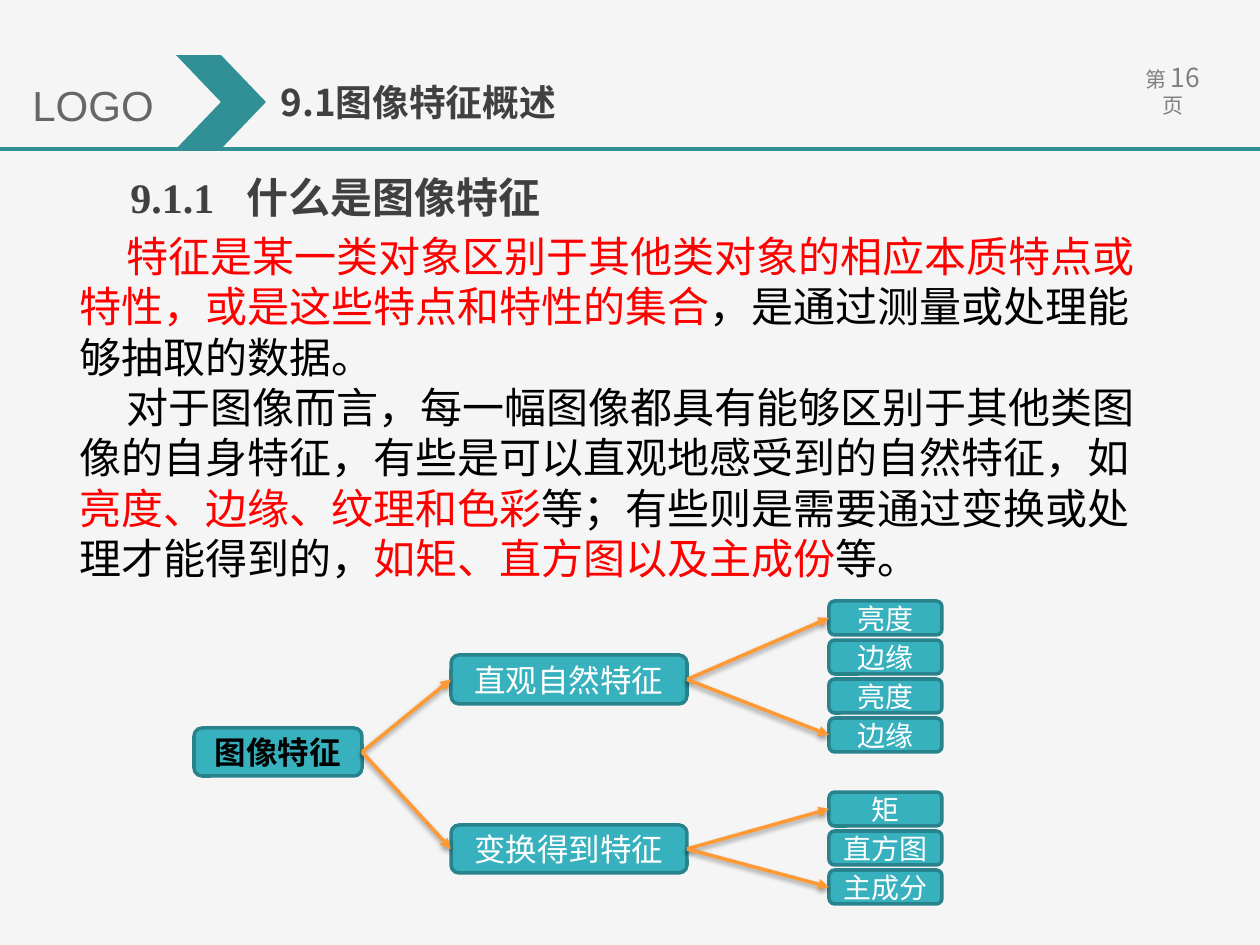
"""Build the slide that introduces image features and their feature tree."""
from dataclasses import dataclass

import lxml.etree
import pptx
import pptx.dml.color
import pptx.enum.shapes
import pptx.enum.text
import pptx.oxml.ns
import pptx.util

SHAPE = pptx.enum.shapes.MSO_SHAPE
ALIGN = pptx.enum.text.PP_ALIGN
ANCHOR = pptx.enum.text.MSO_ANCHOR
qn = pptx.oxml.ns.qn
BREAK = None


@dataclass(frozen=True)
class Theme:
    """Colours, fonts and type sizes of the slide."""
    back: str = "F5F5F5"
    teal: str = "319095"
    node: str = "38B1BF"
    edge: str = "29838D"
    arrow: str = "FF9933"
    dark: str = "404040"
    logo: str = "666666"
    grey: str = "808080"
    black: str = "000000"
    red: str = "FF0000"
    white: str = "FFFFFF"
    sans: str = "Noto Sans CJK SC"
    serif: str = "Times New Roman"
    latin: str = "Arial"
    body: float = 24
    title: float = 21
    branch: float = 18
    leaf: float = 16
    number: float = 15
    small: float = 12


T = Theme()


def px(n):
    """Turn pixels into EMU."""
    return pptx.util.Emu(round(n * 914400 / 126))


def rgb(value):
    """Turn a hex string into a colour."""
    return pptx.dml.color.RGBColor.from_string(value)


def add_run(p, text, size, color, font, bold=False):
    """Add a run with the given Latin font and the sans East Asian font."""
    r = p.add_run()
    r.text = text
    for name, value in {"size": pptx.util.Pt(size), "name": font, "bold": bold}.items():
        setattr(r.font, name, value)
    r.font.color.rgb = rgb(color)
    ea = lxml.etree.Element(qn("a:ea"), typeface=T.sans)
    r.font._element.find(qn("a:latin")).addnext(ea)


def add_text(s, box, paragraphs, align=ALIGN.LEFT, spacing=None, indent=0, tab=0):
    """Add a text box from paragraphs, each a list of runs and line breaks."""
    tf = s.shapes.add_textbox(*map(px, box)).text_frame
    tf.word_wrap = True
    for i, runs in enumerate(paragraphs):
        p = tf.paragraphs[0] if i == 0 else tf.add_paragraph()
        p.alignment = align
        if spacing:
            p.line_spacing = pptx.util.Pt(spacing)
        pr = p._p.get_or_add_pPr()
        if indent:
            pr.set("indent", str(px(indent)))
        if tab:
            tabs = lxml.etree.SubElement(pr, qn("a:tabLst"))
            lxml.etree.SubElement(tabs, qn("a:tab"), pos=str(px(tab)), algn="l")
        for run in runs:
            if run is BREAK:
                p.add_line_break()
            else:
                add_run(p, *run)


def add_shape(s, kind, box, fill, line=None):
    """Add a filled preset shape, outlined when a line colour is given."""
    sp = s.shapes.add_shape(kind, *map(px, box))
    sp.shadow.inherit = False
    sp.fill.solid()
    sp.fill.fore_color.rgb = rgb(fill)
    if line:
        sp.line.color.rgb = rgb(line)
        sp.line.width = pptx.util.Pt(2)
    else:
        sp.line.fill.background()
    return sp


def add_node(s, box, text, size, color=T.white, bold=False):
    """Add one rounded node of the feature tree."""
    tf = add_shape(s, SHAPE.ROUNDED_RECTANGLE, box, T.node, T.edge).text_frame
    margins = dict.fromkeys(("margin_left", "margin_right", "margin_top", "margin_bottom"), 0)
    for name, value in {**margins, "word_wrap": True, "vertical_anchor": ANCHOR.MIDDLE}.items():
        setattr(tf, name, value)
    p = tf.paragraphs[0]
    p.alignment = ALIGN.CENTER
    add_run(p, text, size, color, T.serif, bold)


def add_line(s, start, end, color, width):
    """Add a straight line without a shadow and return it with its effect list."""
    c = s.shapes.add_connector(pptx.enum.shapes.MSO_CONNECTOR.STRAIGHT,
                               *map(px, (*start, *end)))
    c.line.color.rgb = rgb(color)
    c.line.width = pptx.util.Pt(width)
    effects = lxml.etree.SubElement(c._element.spPr, qn("a:effectLst"))
    return c, effects


def add_arrow(s, parent, child):
    """Add a softly shadowed arrow from the right of one box to the left of another."""
    start = parent[0] + parent[2], parent[1] + parent[3] / 2
    end = child[0], child[1] + child[3] / 2
    c, effects = add_line(s, start, end, T.arrow, 2)
    lxml.etree.SubElement(c.line._get_or_add_ln(), qn("a:tailEnd"), type="triangle")
    shadow = lxml.etree.SubElement(effects, qn("a:outerShdw"), blurRad="39370", dist="20320",
                                   dir="5400000", rotWithShape="0")
    color = lxml.etree.SubElement(shadow, qn("a:srgbClr"), val=T.black)
    lxml.etree.SubElement(color, qn("a:alpha"), val="38000")


def add_header(s):
    """Add the page number, rule, chevron, logo word and titles."""
    add_text(s, (1114, 55, 117, 44), [[
        ("第 ", T.small, T.grey, T.sans), ("16", T.number, T.grey, T.sans), BREAK,
        ("页", T.small, T.grey, T.sans)]], ALIGN.CENTER)
    add_line(s, (0, 149), (1260, 149), T.teal, 2.25)
    add_text(s, (268, 74, 422, 57),
             [[("9.1图像特征概述", T.title, T.dark, T.sans, True)]], spacing=25.2)
    add_shape(s, SHAPE.CHEVRON, (176, 55, 90, 94), T.teal)
    add_text(s, (20, 73, 158, 64), [[("LOGO", T.body, T.logo, T.latin)]])
    add_text(s, (118, 165, 471, 63),
             [[("9.1.1\t什么是图像特征", T.body, T.dark, T.serif, True)]],
             spacing=28.8, tab=116)


def add_body(s):
    """Add the two explaining paragraphs with their red key phrases."""
    paragraphs = [
        [("特征是某一类对象区别于其他类对象的相应本质特点或特性，或是这些特点和特性的集合", T.red),
         ("，是通过测量或处理能够抽取的数据。", T.black)],
        [("对于图像而言，每一幅图像都具有能够区别于其他类图像的自身特征，"
          "有些是可以直观地感受到的自然特征，如", T.black),
         ("亮度、边缘、纹理和色彩", T.red),
         ("等；有些则是需要通过变换或处理才能得到的，", T.black),
         ("如矩、直方图以及主成份", T.red), ("等。", T.black)],
    ]
    add_text(s, (67, 224, 1100, 369),
             [[(text, T.body, color, T.serif) for text, color in runs] for runs in paragraphs],
             spacing=28.8, indent=47)


def add_tree(s):
    """Add the tree of features, with arrows to the outer leaves of each branch."""
    root = (194, 728, 168, 48)
    branches = [
        ("直观自然特征", 655, 49, 601, ["亮度", "边缘", "亮度", "边缘"]),
        ("变换得到特征", 825, 48, 792, ["矩", "直方图", "主成分"]),
    ]
    add_node(s, root, "图像特征", T.branch, T.black, True)
    for name, top, height, first, leaves in branches:
        branch = (451, top, 236, height)
        add_node(s, branch, name, T.branch)
        add_arrow(s, root, branch)
        boxes = [(829, first + 39 * i, 113, 34) for i in range(len(leaves))]
        for box, leaf in zip(boxes, leaves):
            add_node(s, box, leaf, T.leaf)
        for box in (boxes[0], boxes[-1]):
            add_arrow(s, branch, box)


def main():
    """Build and save the slide."""
    prs = pptx.Presentation()
    prs.slide_width, prs.slide_height = px(1260), px(945)
    s = prs.slides.add_slide(prs.slide_layouts[6])
    s.background.fill.solid()
    s.background.fill.fore_color.rgb = rgb(T.back)
    add_header(s)
    add_body(s)
    add_tree(s)
    prs.save("out.pptx")


if __name__ == "__main__":
    main()
